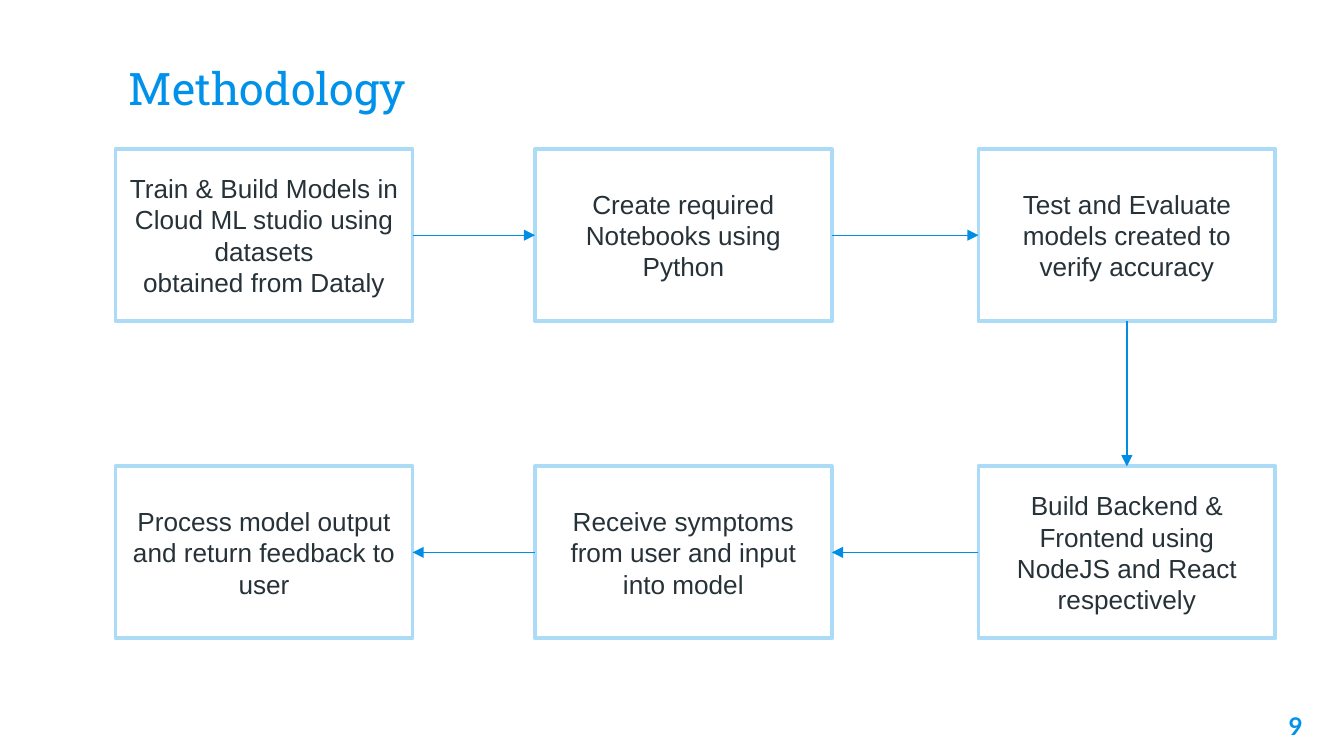
"""Build the Methodology slide: six steps in a loop joined by arrows."""
import lxml.etree
import pptx
import pptx.dml.color
import pptx.enum.shapes
import pptx.enum.text
import pptx.oxml.ns
import pptx.util

Inches = pptx.util.Inches
Align = pptx.enum.text.PP_ALIGN
Anchor = pptx.enum.text.MSO_ANCHOR
qn = pptx.oxml.ns.qn


class Theme:
    title = ("Roboto Slab", 24, "0091EA", False)
    number = ("Lato", 13, "0091EA", True)
    body = ("Arial", 14, "263238", False)
    fill = "FFFFFF"
    edge = "ACDBF8"
    arrow = "008EE5"


def paint(code):
    return pptx.dml.color.RGBColor.from_string(code)


def write(shape, text, style, align, anchor, inset):
    frame = shape.text_frame
    frame.text = text
    frame.word_wrap = True
    frame.vertical_anchor = anchor
    frame.margin_left = frame.margin_right = Inches(0.1)
    frame.margin_top = frame.margin_bottom = Inches(inset)
    face, size, color, bold = style
    for para in frame.paragraphs:
        para.alignment = align
        for run in para.runs:
            run.font.name = face
            run.font.size = pptx.util.Pt(size)
            run.font.color.rgb = paint(color)
            run.font.bold = bold


deck = pptx.Presentation()
deck.slide_width = Inches(10)
deck.slide_height = Inches(10) * 9 // 16
slide = deck.slides.add_slide(deck.slide_layouts[6])
shapes = slide.shapes

title = shapes.add_textbox(Inches(0.86), Inches(0.18), Inches(8.28), Inches(0.77))
write(title, "Methodology", Theme.title, Align.LEFT, Anchor.BOTTOM, 0.1)
number = shapes.add_textbox(Inches(9.19), Inches(5.19), Inches(0.6), Inches(0.43))
write(number, "9", Theme.number, Align.RIGHT, Anchor.TOP, 0.1)

cols = [0.86, 3.98, 7.28]
rows = [1.11, 3.47]
spots = [(x, rows[0]) for x in cols] + [(x, rows[1]) for x in reversed(cols)]
steps = [
    "Train & Build Models in Cloud ML studio using datasets\nobtained from Dataly",
    "Create required Notebooks using Python",
    "Test and Evaluate models created to verify accuracy",
    "Build Backend & Frontend using NodeJS and React respectively",
    "Receive symptoms from user and input into model",
    "Process model output and return feedback to user",
]

boxes = []
for (x, y), text in zip(spots, steps):
    box = shapes.add_shape(
        pptx.enum.shapes.MSO_SHAPE.RECTANGLE,
        Inches(x), Inches(y), Inches(2.21), Inches(1.28),
    )
    box.shadow.inherit = False
    box.fill.solid()
    box.fill.fore_color.rgb = paint(Theme.fill)
    box.line.color.rgb = paint(Theme.edge)
    box.line.width = pptx.util.Pt(2)
    write(box, text, Theme.body, Align.CENTER, Anchor.MIDDLE, 0.05)
    boxes.append(box)

top, left, bottom, right = range(4)
sides = [(right, left)] * 2 + [(bottom, top)] + [(left, right)] * 2
for start, end, (out, into) in zip(boxes, boxes[1:], sides):
    arrow = shapes.add_connector(pptx.enum.shapes.MSO_CONNECTOR.STRAIGHT, 0, 0, 0, 0)
    arrow.begin_connect(start, out)
    arrow.end_connect(end, into)
    arrow.line.color.rgb = paint(Theme.arrow)
    arrow.line.width = pptx.util.Pt(0.75)
    line = arrow.line._get_or_add_ln()
    lxml.etree.SubElement(line, qn("a:tailEnd"), type="triangle")
    lxml.etree.SubElement(arrow._element.spPr, qn("a:effectLst"))

deck.save("out.pptx")
